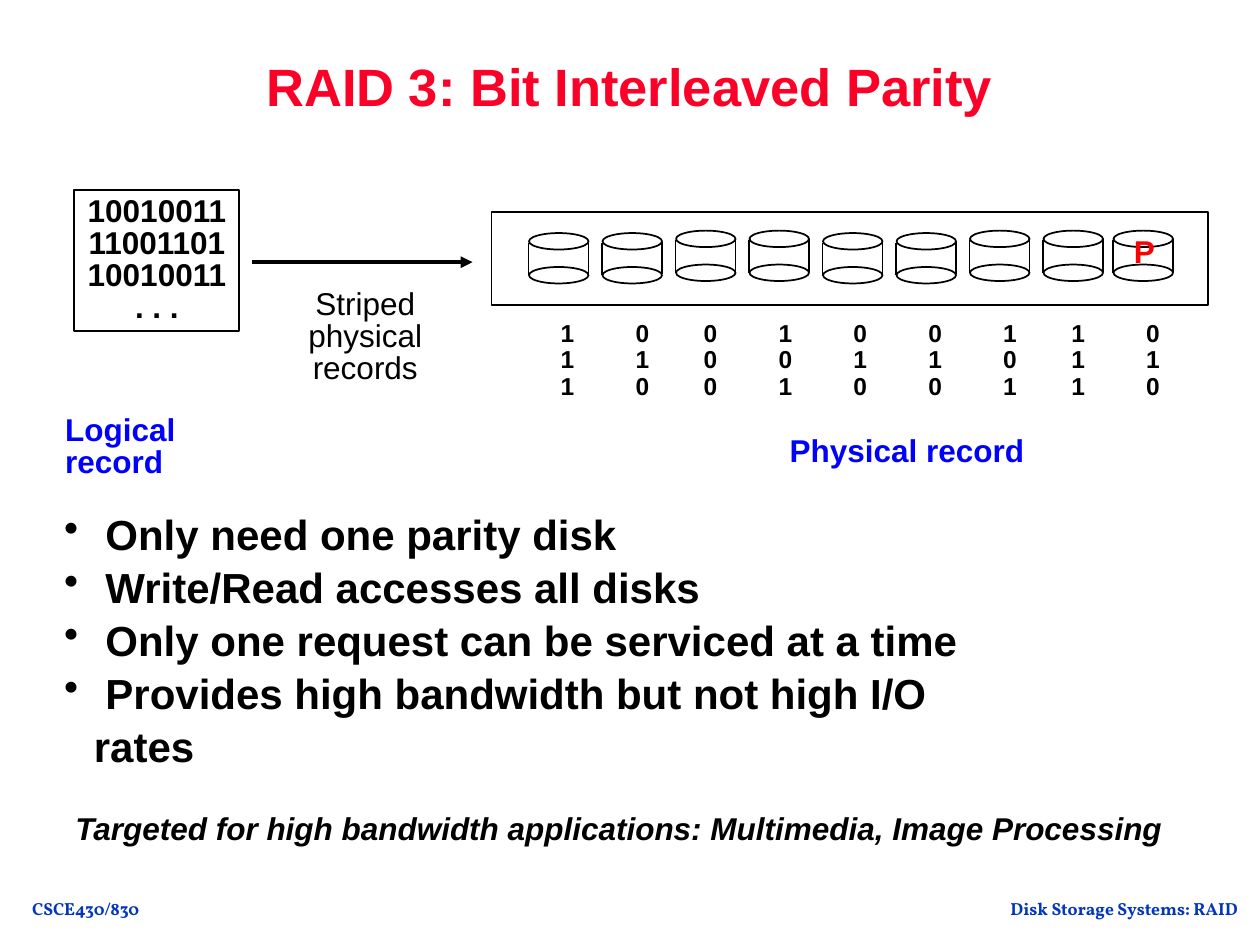
from itertools import accumulate

from lxml.etree import SubElement
from pptx import Presentation
from pptx.dml.color import RGBColor
from pptx.enum.shapes import MSO_CONNECTOR as Link, MSO_SHAPE as Shape
from pptx.enum.text import MSO_ANCHOR as Anchor, PP_ALIGN as Align
from pptx.oxml.ns import qn
from pptx.util import Pt

BLACK, WHITE, RED, BLUE = "000000", "FFFFFF", "FC0128", "0000FF"


def color(code):
    return RGBColor.from_string(code)


def write(frame, lines, size=18, ink=BLACK, bold=True, italic=False,
          font="Arial", align=Align.LEFT, gap=0.85, wrap=False):
    frame.word_wrap = wrap
    frame.margin_left = frame.margin_right = Pt(7.2)
    frame.margin_top = frame.margin_bottom = Pt(3.6)
    for i, line in enumerate(lines):
        para = frame.add_paragraph() if i else frame.paragraphs[0]
        para.alignment = align
        para.line_spacing = gap
        run = para.add_run()
        run.text = line
        face = run.font
        face.name, face.size = font, Pt(size)
        face.bold, face.italic = bold, italic
        face.color.rgb = color(ink)
    return frame


def label(slide, x, y, w, h, *lines, **style):
    box = slide.shapes.add_textbox(Pt(x), Pt(y), Pt(w), Pt(h))
    return write(box.text_frame, lines, **style)


def outline(slide, kind, x, y, w, h, fill=WHITE):
    item = slide.shapes.add_shape(kind, Pt(x), Pt(y), Pt(w), Pt(h))
    item.shadow.inherit = False
    if fill:
        item.fill.solid()
        item.fill.fore_color.rgb = color(fill)
    else:
        item.fill.background()
    item.line.color.rgb = color(BLACK)
    item.line.width = Pt(1)
    return item


def stroke(slide, x1, y1, x2, y2, width=1, arrow=False):
    line = slide.shapes.add_connector(Link.STRAIGHT, Pt(x1), Pt(y1), Pt(x2), Pt(y2))
    line.line.color.rgb = color(BLACK)
    line.line.width = Pt(width)
    if arrow:
        SubElement(line.line._get_or_add_ln(), qn("a:tailEnd"), type="triangle")
    SubElement(line._element.spPr, qn("a:effectLst"))


def bullets(slide, x, y, w, h, *items):
    frame = label(slide, x, y, w, h, *items, size=24, gap=1.05, wrap=True)
    for para in frame.paragraphs:
        props = para._p.get_or_add_pPr()
        props.set("marL", str(Pt(17)))
        props.set("indent", str(-Pt(17)))
        SubElement(props, qn("a:buChar"), char="•")


def logical(slide, x, y, w, h):
    box = outline(slide, Shape.RECTANGLE, x, y, w, h)
    box.text_frame.vertical_anchor = Anchor.MIDDLE
    write(box.text_frame, ["10010011", "11001101", "10010011", ". . ."],
          align=Align.CENTER)
    label(slide, x - 12.3, y + 125.3, 138, 25.2, "Logical record", ink=BLUE)


def striping(slide, x, y, w, h):
    stroke(slide, x + 5.8, y, x + 131.8, y, 2.25, arrow=True)
    label(slide, x, y + 12.2, w, h - 12.2, "Striped physical", "records",
          bold=False, align=Align.CENTER)


def disk(slide, x, y, w, h):
    lid = 9.4
    for top in (y, y + h - lid):
        outline(slide, Shape.OVAL, x, top, w, lid)
    for side, top in ((x - 0.3, y + 5.6), (x + w, y + 5)):
        stroke(slide, side, top, side, top + 18.5)


def bits(slide, x, y, w, h, *rows):
    """Rows of bits, set in columns by tab stops."""
    frame = label(slide, x, y, w, h, *("\t" + "\t".join(row) for row in rows),
                  size=14, gap=0.9, wrap=True)
    wide, slim = 42.8, 38.9
    steps = [19.5, wide, slim, wide, wide, wide, wide, slim, wide]
    for para in frame.paragraphs:
        tabs = SubElement(para._p.get_or_add_pPr(), qn("a:tabLst"))
        for stop in accumulate(steps):
            SubElement(tabs, qn("a:tab"), pos=str(Pt(stop)), algn="l")


def physical(slide, x, y, w, h):
    outline(slide, Shape.RECTANGLE, x, y, w, h, fill=None)
    bits(slide, x + 13, y + 59, 390, 52.6, "100100110", "110011011", "100100110")
    high, low = y + 10.8, y + 12.2
    for i in range(8):
        disk(slide, x + 21.5 + 42 * i, low if i % 4 < 2 else high, 34, 28.8)
    last = x + 355.5
    disk(slide, last, high, 34, 28.8)
    label(slide, last + 4.5, high - 2.9, 25.9, 28.8, "P", ink="FF0000", gap=1)
    label(slide, x + 163.4, y + 125.2, 148.3, 25.2, "Physical record", ink=BLUE)


def footer(slide, x, y, w, h):
    style = dict(size=10, ink="0237BC", font="Vollkorn", align=Align.CENTER, gap=1)
    label(slide, x, y, 76.3, h, "CSCE430/830", **style)
    label(slide, x + w - 152.6, y, 152.6, h, "Disk Storage Systems: RAID", **style)


def main():
    deck = Presentation()
    deck.slide_width, deck.slide_height = Pt(720), Pt(540)
    slide = deck.slides.add_slide(deck.slide_layouts[6])
    footer(slide, 10.8, 509.8, 707.8, 18.7)
    title = label(slide, 77.8, 18, 563.8, 66.2, "RAID 3: Bit Interleaved Parity",
                  size=30, ink=RED, align=Align.CENTER, gap=0.9, wrap=True)
    title.vertical_anchor = Anchor.MIDDLE
    bullets(slide, 29.5, 285.8, 562.3, 128.2,
            " Only need one parity disk",
            " Write/Read accesses all disks",
            " Only one request can be serviced at a time",
            " Provides high bandwidth but not high I/O rates")
    label(slide, 36, 462.2, 660.2, 25.2,
          "Targeted for high bandwidth applications: Multimedia, Image Processing",
          italic=True, wrap=True)
    logical(slide, 42.5, 108.7, 94.3, 80.6)
    striping(slide, 138.2, 149.8, 141.1, 56.1)
    physical(slide, 280.8, 121, 409.7, 53.3)
    deck.save("out.pptx")


if __name__ == "__main__":
    main()
